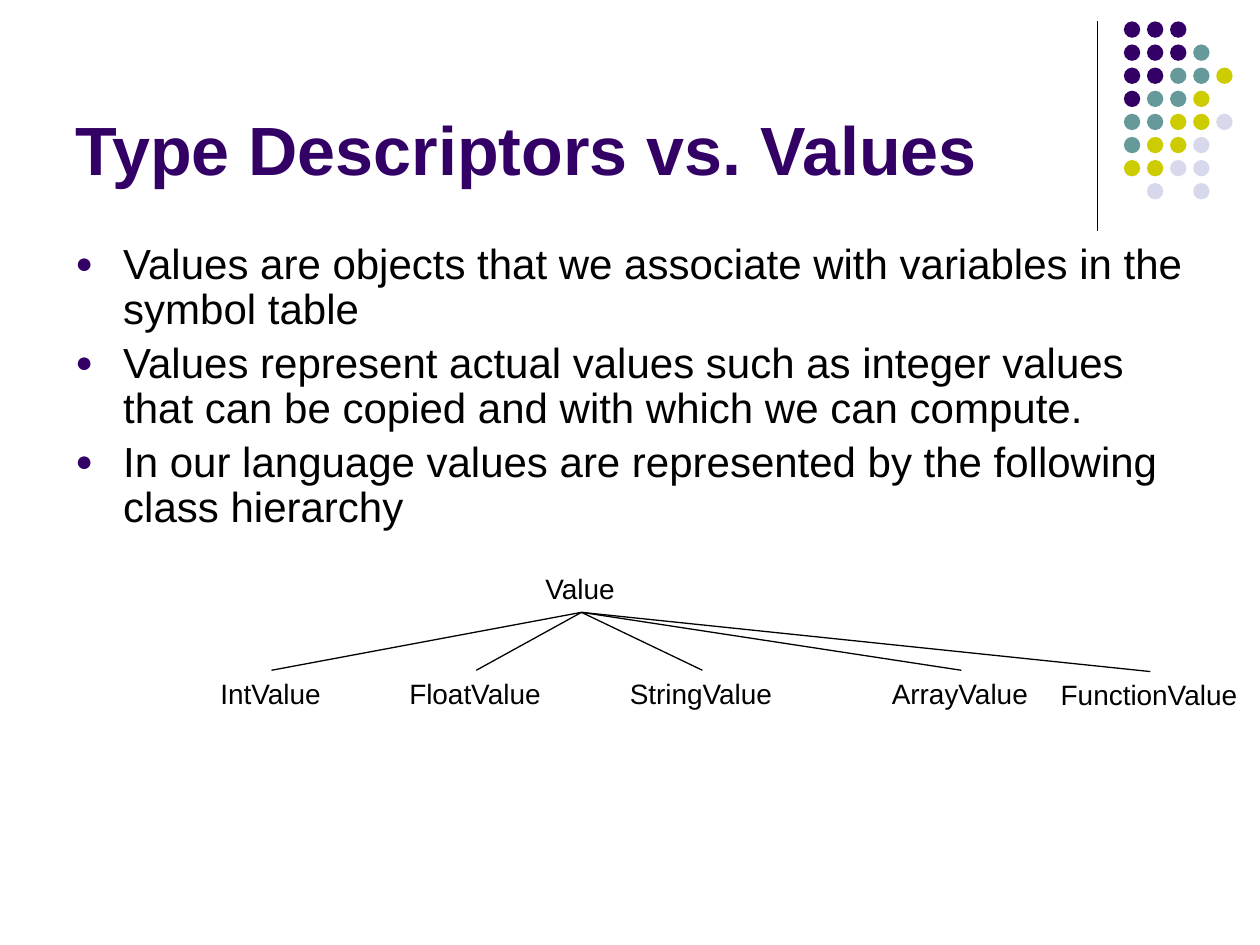
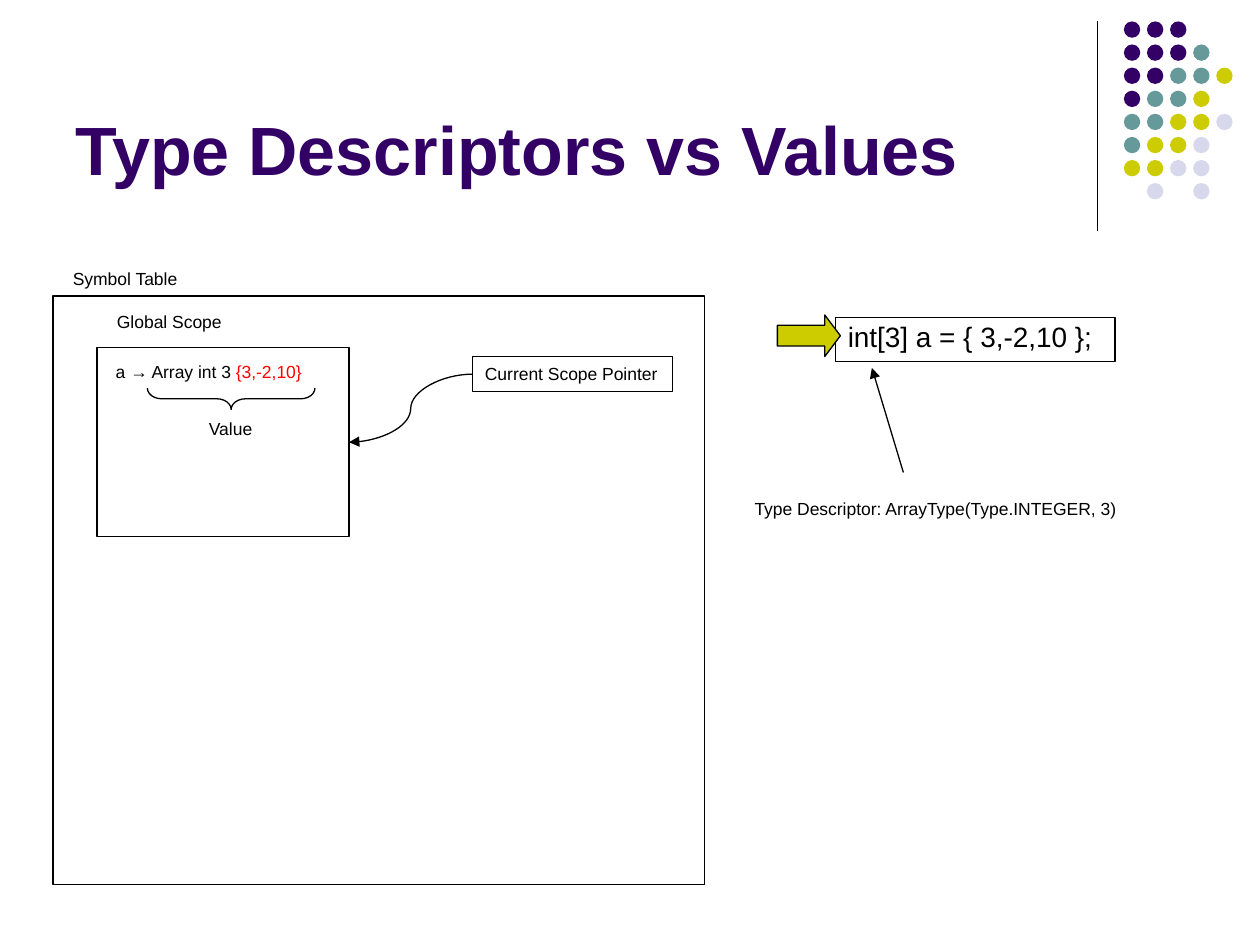
from lxml.etree import SubElement
from pptx import Presentation
from pptx.dml.color import RGBColor
from pptx.enum.dml import MSO_FILL
from pptx.enum.shapes import MSO_CONNECTOR, MSO_SHAPE, PP_PLACEHOLDER
from pptx.enum.text import MSO_ANCHOR, MSO_AUTO_SIZE, PP_ALIGN
from pptx.oxml.ns import qn
from pptx.util import Inches, Pt

FONT = "Arial"
BLACK, RED = "000000", "FF0000"
PURPLE, TEAL, YELLOW, LAVENDER = "330066", "669999", "CCCC00", "D8D8EC"
DOT_COLORS = {"P": PURPLE, "T": TEAL, "Y": YELLOW, "L": LAVENDER}
DOT_ROWS = ["PPP", "PPPT", "PPTTY", "PTTY", "TTYYL", "TYYL", "YYLL", " L L"]
DOT_LEFT, DOT_TOP, DOT_SIZE, DOT_PITCH = 8.92, 0.17, 0.13, 0.55 / 3
LABEL_HEIGHT = 0.37


def rgb(color):
    return RGBColor.from_string(color)


def inches(values):
    return [Inches(value) for value in values]


def format_runs(paragraph, size, color=BLACK, bold=False):
    for run in paragraph.runs:
        run.font.name = FONT
        run.font.size = Pt(size)
        run.font.bold = bold
        run.font.color.rgb = rgb(color)


def add_figure(shapes, kind, box, fill=None, line=BLACK):
    shape = shapes.add_shape(kind, *inches(box))
    shape.shadow.inherit = False
    if fill:
        shape.fill.solid()
        shape.fill.fore_color.rgb = rgb(fill)
    else:
        shape.fill.background()
    if line:
        shape.line.color.rgb = rgb(line)
        shape.line.width = Pt(0.75)
    else:
        shape.line.fill.background()
    return shape


def write_text(shape, text, size, wrap=False):
    frame = shape.text_frame
    frame.text = text
    frame.word_wrap = wrap
    frame.auto_size = MSO_AUTO_SIZE.SHAPE_TO_FIT_TEXT
    frame.vertical_anchor = MSO_ANCHOR.TOP
    paragraph = frame.paragraphs[0]
    paragraph.alignment = PP_ALIGN.LEFT
    format_runs(paragraph, size)
    return paragraph


def add_label(slide, text, box, size=10, wrap=False):
    return write_text(slide.shapes.add_textbox(*inches(box)), text, size, wrap)


def add_boxed_text(slide, text, box, size=10):
    return write_text(add_figure(slide.shapes, MSO_SHAPE.RECTANGLE, box), text, size)


def add_line(slide, start, end, kind=MSO_CONNECTOR.STRAIGHT, arrow_end=None):
    connector = slide.shapes.add_connector(kind, *inches(start + end))
    connector.line.color.rgb = rgb(BLACK)
    connector.line.width = Pt(0.75)
    properties = connector.element.spPr
    if arrow_end:
        SubElement(properties.find(qn("a:ln")), qn(arrow_end), type="triangle")
    SubElement(properties, qn("a:effectLst"))
    return connector


def add_bullets(slide, texts, box, size=24):
    shape = slide.shapes.add_textbox(*inches(box))
    frame = shape.text_frame
    frame.text = "\n".join(texts)
    frame.word_wrap = True
    for paragraph in frame.paragraphs:
        paragraph.line_spacing = 0.9
        paragraph.space_before = Pt(size * 0.2)
        format_runs(paragraph, size)
    for properties in shape.element.iter(qn("a:pPr")):
        properties.set("marL", str(Inches(0.38)))
        properties.set("indent", str(-Inches(0.38)))
        color = SubElement(properties, qn("a:buClr"))
        SubElement(color, qn("a:srgbClr"), val=PURPLE)
        SubElement(properties, qn("a:buSzPct"), val="70000")
        SubElement(properties, qn("a:buFont"), typeface=FONT)
        SubElement(properties, qn("a:buChar"), char="●")


def decorate_layout(layout, slide):
    for placeholder in list(layout.placeholders):
        if placeholder.placeholder_format.type != PP_PLACEHOLDER.TITLE:
            layout.shapes.element.remove(placeholder.element)
    divider = add_line(slide, (8.71, 0.17), (8.71, 1.83))
    dots = slide.shapes.add_group_shape()
    for row, letters in enumerate(DOT_ROWS):
        for column, letter in enumerate(letters):
            if letter in DOT_COLORS:
                box = (DOT_LEFT + column * DOT_PITCH, DOT_TOP + row * DOT_PITCH,
                       DOT_SIZE, DOT_SIZE)
                add_figure(dots.shapes, MSO_SHAPE.OVAL, box, DOT_COLORS[letter], None)
    for shape in (divider, dots):
        layout.shapes.element.append(shape.element)


def add_titled_slide(presentation, layout, text):
    slide = presentation.slides.add_slide(layout)
    title = slide.shapes.title
    title.left, title.top, title.width, title.height = inches((0.5, 0.13, 8.25, 1.42))
    frame = title.text_frame
    frame.text = text
    frame.word_wrap = True
    frame.auto_size = MSO_AUTO_SIZE.NONE
    frame.vertical_anchor = MSO_ANCHOR.BOTTOM
    frame.paragraphs[0].alignment = PP_ALIGN.LEFT
    format_runs(frame.paragraphs[0], 39, PURPLE, True)
    return slide


def add_class_tree(slide):
    root_left, root_top, root_width = 4.23, 4.49, 0.77
    add_label(slide, "Value", (root_left, root_top, root_width, LABEL_HEIGHT), 16)
    root_point = (root_left + root_width / 2, root_top + LABEL_HEIGHT)
    subclasses = [
        ("IntValue", 1.65, 5.32, 1.01),
        ("FloatValue", 3.15, 5.32, 1.26),
        ("StringValue", 4.9, 5.32, 1.35),
        ("ArrayValue", 6.98, 5.32, 1.3),
        ("FunctionValue", 8.32, 5.33, 1.62),
    ]
    for name, left, top, width in subclasses:
        add_label(slide, name, (left, top, width, LABEL_HEIGHT), 16)
        add_line(slide, root_point, (left + width / 2, top))


def add_symbol_table(slide):
    add_figure(slide.shapes, MSO_SHAPE.RECTANGLE, (0.42, 2.35, 5.17, 4.67))
    add_figure(slide.shapes, MSO_SHAPE.RECTANGLE, (0.77, 2.76, 2, 1.5))
    add_label(slide, "Symbol Table", (0.48, 2.08, 1.05, 0.27))
    add_label(slide, "Global Scope", (0.83, 2.42, 1.03, 0.27))
    add_boxed_text(slide, "Current Scope Pointer", (3.75, 2.83, 1.59, 0.28))
    add_line(slide, (3.75, 2.97), (2.77, 3.51), MSO_CONNECTOR.CURVE, "a:tailEnd")
    entry = add_label(slide, "a → Array int 3 ", (0.82, 2.82, 1.85, 0.27), wrap=True)
    entry.add_run().text = "{3,-2,10}"
    format_runs(entry, 10)
    entry.runs[-1].font.color.rgb = rgb(RED)
    brace = add_figure(slide.shapes, MSO_SHAPE.LEFT_BRACE, (1.75, 2.5, 0.17, 1.33))
    brace.rotation = 270
    brace.adjustments[0] = 0.667
    add_label(slide, "Value", (1.56, 3.27, 0.56, 0.27))


def add_declaration(slide):
    code = add_boxed_text(slide, "int[3] a = { 3,-2,10 }; ", (6.63, 2.52, 2.22, 0.35), 16)
    code.line_spacing = 0.9
    code.space_before = Pt(3.2)
    arrow = add_figure(slide.shapes, MSO_SHAPE.RIGHT_ARROW, (6.17, 2.5, 0.5, 0.33), YELLOW)
    arrow.adjustments[1] = 0.375
    add_line(slide, (6.92, 2.92), (7.17, 3.75), arrow_end="a:headEnd")
    add_label(slide, "Type Descriptor: ArrayType(Type.INTEGER, 3)", (5.89, 3.9, 3.11, 0.27))


def main():
    presentation = Presentation()
    presentation.slide_width, presentation.slide_height = inches((10, 7.5))
    layout = presentation.slide_layouts.get_by_name("Title Only")

    hierarchy = add_titled_slide(presentation, layout, "Type Descriptors vs. Values")
    decorate_layout(layout, hierarchy)
    add_bullets(hierarchy, [
        "Values are objects that we associate with variables in the symbol table",
        "Values represent actual values such as integer values that can be copied "
        "and with which we can compute.",
        "In our language values are represented by the following class hierarchy",
    ], (0.5, 1.88, 9, 2.29))
    add_class_tree(hierarchy)

    example = add_titled_slide(presentation, layout, "Type Descriptors vs Values")
    add_symbol_table(example)
    add_declaration(example)
    presentation.save("out.pptx")


main()
